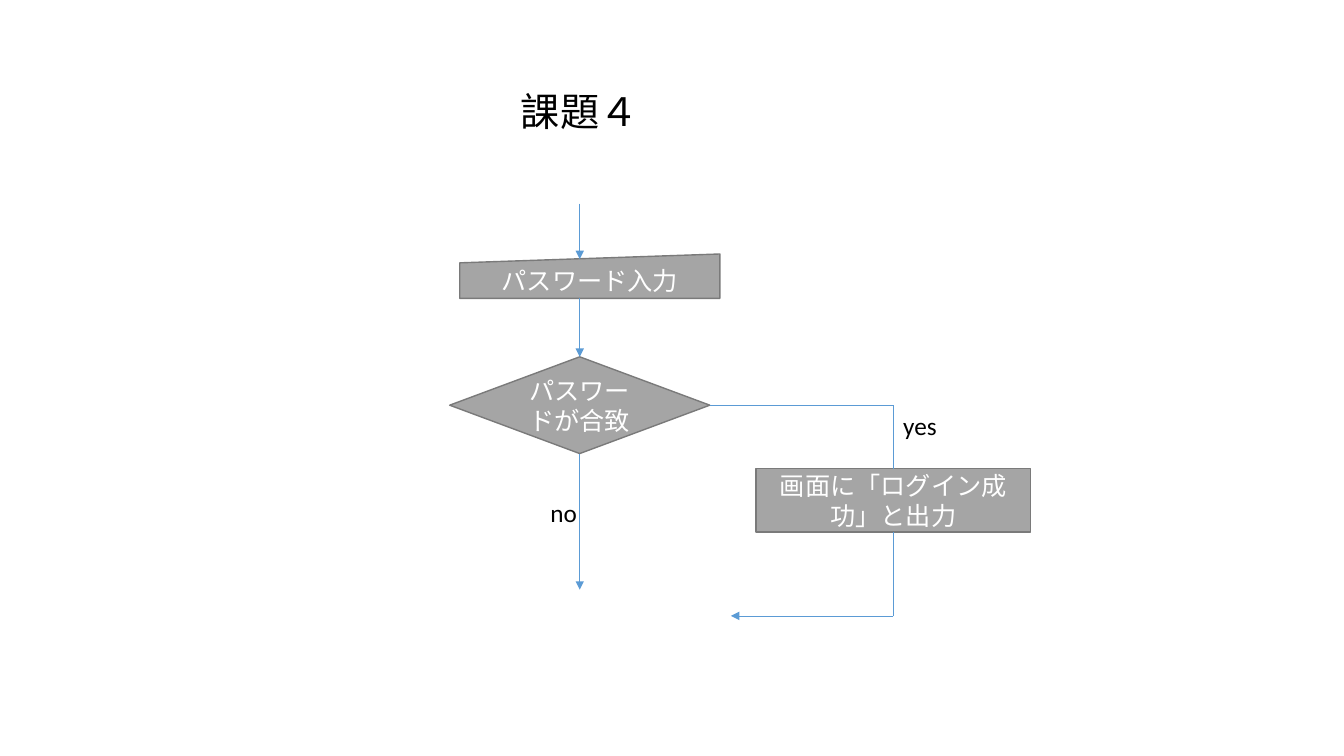
from lxml import etree
from pptx import Presentation
from pptx.dml.color import RGBColor
from pptx.enum import shapes, text
from pptx.oxml import ns
from pptx.util import Inches, Pt

FONT = "Calibri"
BLACK = RGBColor(0x00, 0x00, 0x00)
WHITE = RGBColor(0xFF, 0xFF, 0xFF)
GREY = RGBColor(0xA5, 0xA5, 0xA5)
EDGE = RGBColor(0x7A, 0x7A, 0x7A)
BLUE = RGBColor(0x5B, 0x9B, 0xD5)
KIND = shapes.MSO_SHAPE

# Content: steps as kind, text, (left, top, width, height)
TITLE = "課題４"
STEPS = {
    "test": (KIND.FLOWCHART_DECISION, "パスワードが合致", (4.46, 3.54, 2.58, 0.96)),
    "output": (KIND.RECTANGLE, "画面に「ログイン成功」と出力", (7.5, 4.65, 2.72, 0.63)),
    "input": (KIND.FLOWCHART_MANUAL_INPUT, "パスワード入力", (4.56, 2.52, 2.58, 0.44)),
}
LABELS = [("no", (5.36, 4.88, 1.29, 0.4)), ("yes", (8.86, 4.02, 1.99, 0.4))]

prs = Presentation()
prs.slide_width, prs.slide_height = Inches(13.33), Inches(7.5)
slide = prs.slides.add_slide(prs.slide_layouts[6])


def write(shape, words, size, color, align, anchor):
    frame = shape.text_frame
    frame.word_wrap = True
    frame.vertical_anchor = anchor
    para = frame.paragraphs[0]
    para.text = words
    para.alignment = align
    font = para.font
    font.name, font.size = FONT, Pt(size)
    font.color.rgb = color
    return para


def add_text(words, box, size, align, anchor):
    shape = slide.shapes.add_textbox(*map(Inches, box))
    return write(shape, words, size, BLACK, align, anchor)


def add_step(kind, words, box):
    shape = slide.shapes.add_shape(kind, *map(Inches, box))
    shape.shadow.inherit = False
    shape.fill.solid()
    shape.fill.fore_color.rgb = GREY
    shape.line.color.rgb = EDGE
    shape.line.width = Pt(1)
    write(shape, words, 18, WHITE, text.PP_ALIGN.CENTER, text.MSO_ANCHOR.MIDDLE)


def add_flow(start, end, arrow):
    ends = map(Inches, (*start, *end))
    link = slide.shapes.add_connector(shapes.MSO_CONNECTOR.STRAIGHT, *ends)
    link.line.color.rgb = BLUE
    link.line.width = Pt(0.5)
    if arrow:
        etree.SubElement(link.line._get_or_add_ln(), ns.qn("a:tailEnd"), type="triangle")
    etree.SubElement(link._element.spPr, ns.qn("a:effectLst"))


# Title and steps
head = add_text(TITLE, (0, 0.4, 11.5, 1.45), 28,
                text.PP_ALIGN.CENTER, text.MSO_ANCHOR.MIDDLE)
head.line_spacing = 0.9
for step in STEPS.values():
    add_step(*step)

# Flow lines follow the step edges
left, top, width, height = STEPS["test"][2]
right, middle, bottom = left + width, top + height / 2, top + height
x, y, w, h = STEPS["output"][2]
side = x + w / 2
in_top, in_high = STEPS["input"][2][1::2]
main = left + width / 2
back = 6.11
FLOWS = [
    ((main, 2.02), (main, in_top + 0.05), True),
    ((main, in_top + in_high), (main, top), True),
    ((main, bottom), (main, 5.85), True),
    ((right, middle), (side, middle), False),
    ((side, middle), (side, y), False),
    ((side, y + h), (side, back), False),
    ((side, back), (7.25, back), True),
]
for flow in FLOWS:
    add_flow(*flow)

# Branch labels
for words, box in LABELS:
    add_text(words, box, 18, text.PP_ALIGN.LEFT, text.MSO_ANCHOR.TOP)

prs.save("out.pptx")
